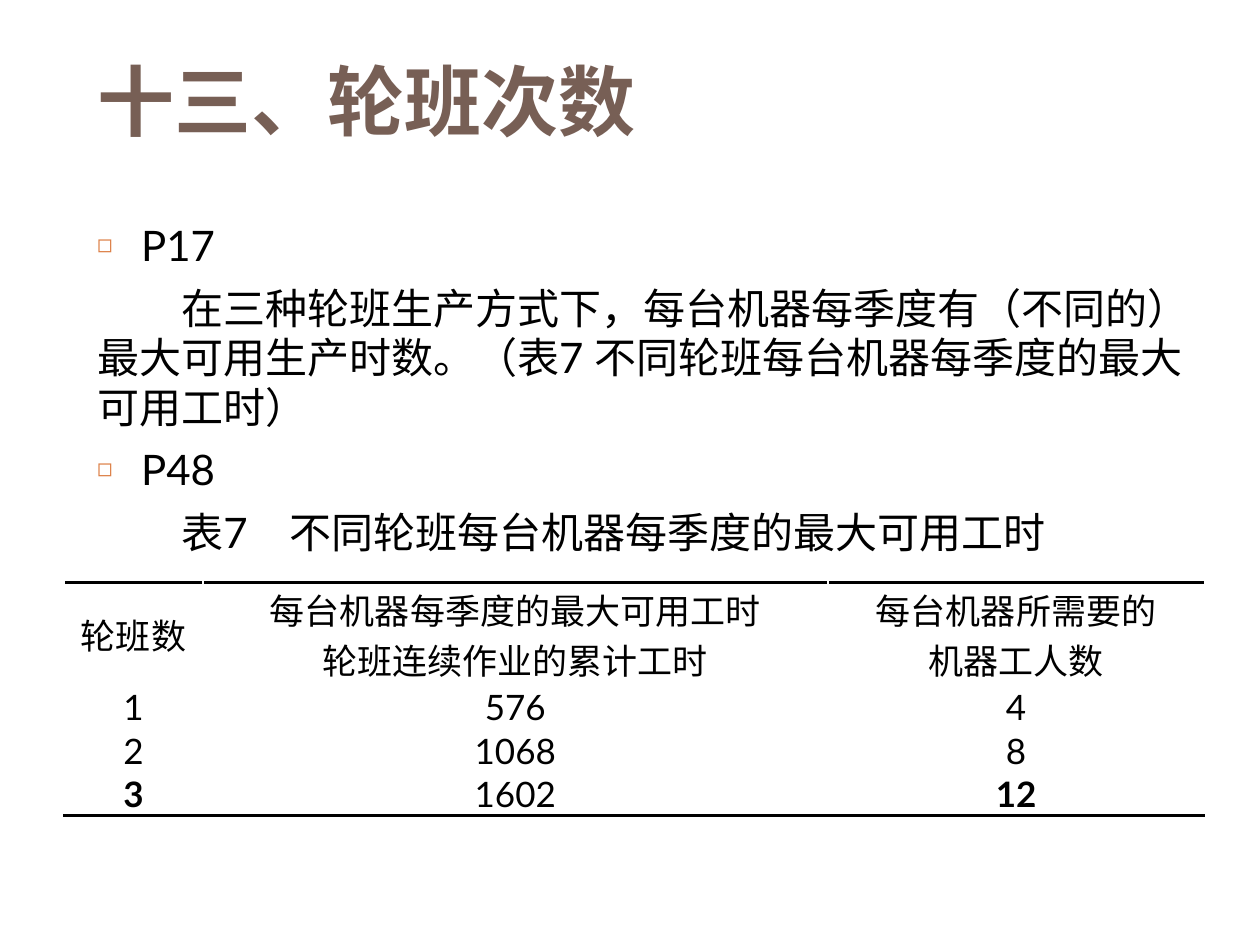
from lxml.etree import SubElement
from pptx import Presentation
from pptx.dml.color import RGBColor
from pptx.enum.text import MSO_ANCHOR, PP_ALIGN
from pptx.oxml import parse_xml
from pptx.oxml.ns import nsdecls, qn
from pptx.util import Inches, Pt

BLACK = RGBColor(0x00, 0x00, 0x00)
WHITE = RGBColor(0xFF, 0xFF, 0xFF)
BROWN = RGBColor(0x77, 0x5F, 0x55)
ORANGE = RGBColor(0xDD, 0x80, 0x47)
LATIN, CHINESE = "Lato", "Noto Sans CJK SC"

TITLE = "十三、轮班次数"
# Each entry: text, has a bullet
BODY = [
    ("P17", True),
    ("在三种轮班生产方式下，每台机器每季度有（不同的）最大可用生产时数。"
     "（表7 不同轮班每台机器每季度的最大可用工时）", False),
    ("P48", True),
    ("表7　不同轮班每台机器每季度的最大可用工时", False),
]
SHIFTS = [
    ("轮班数", "每台机器每季度的最大可用工时\n轮班连续作业的累计工时",
     "每台机器所需要的\n机器工人数"),
    ("1", "576", "4"),
    ("2", "1068", "8"),
    ("3", "1602", "12"),
]
BOLD_CELLS = {(3, 0), (3, 2)}
COLUMN_WIDTHS = (1.1, 4.96, 2.99)
ROW_HEIGHTS = (0.69, 0.34, 0.34, 0.34)


def style(paragraph, size, color, latin=LATIN, bold=False):
    paragraph.font.name = latin
    paragraph.font.size = Pt(size)
    paragraph.font.bold = bold
    paragraph.font.color.rgb = color
    for run in paragraph.runs:
        properties = run._r.get_or_add_rPr()
        SubElement(properties, qn("a:ea")).set("typeface", CHINESE)


def place(shape, box):
    shape.left, shape.top, shape.width, shape.height = map(Inches, box)


def set_bullet(paragraph, bulleted):
    properties = paragraph._p.get_or_add_pPr()
    margin, indent = (0.35, -0.35) if bulleted else (0, 0.67)
    properties.set("marL", str(Inches(margin)))
    properties.set("indent", str(Inches(indent)))
    if bulleted:
        color = SubElement(properties, qn("a:buClr"))
        SubElement(color, qn("a:srgbClr")).set("val", str(ORANGE))
        SubElement(properties, qn("a:buSzPct")).set("val", "60000")
        SubElement(properties, qn("a:buChar")).set("char", "◻")
    else:
        SubElement(properties, qn("a:buNone"))


def set_border(cell, side):
    cell._tc.get_or_add_tcPr().insert(0, parse_xml(
        f'<a:{side} {nsdecls("a")} w="{Pt(2)}"><a:solidFill>'
        f'<a:srgbClr val="{BLACK}"/></a:solidFill></a:{side}>'))


def fill_title(title, box):
    place(title, box)
    title.text_frame.text = TITLE
    title.text_frame.vertical_anchor = MSO_ANCHOR.MIDDLE
    paragraph = title.text_frame.paragraphs[0]
    paragraph.alignment = PP_ALIGN.LEFT
    style(paragraph, 44, BROWN, CHINESE, True)


def fill_body(body, box):
    place(body, box)
    frame = body.text_frame
    frame.text = "\n".join(text for text, _ in BODY)
    for paragraph, (_, bulleted) in zip(frame.paragraphs, BODY):
        paragraph.line_spacing = Pt(28.5)
        paragraph.space_before = Pt(7)
        set_bullet(paragraph, bulleted)
        style(paragraph, 24, BLACK)


def add_shift_table(slide, left, top):
    table = slide.shapes.add_table(
        len(SHIFTS), len(COLUMN_WIDTHS), Inches(left), Inches(top),
        Inches(sum(COLUMN_WIDTHS)), Inches(sum(ROW_HEIGHTS))).table
    table.first_row = table.horz_banding = False
    for column, width in zip(table.columns, COLUMN_WIDTHS):
        column.width = Inches(width)
    for row, height in zip(table.rows, ROW_HEIGHTS):
        row.height = Inches(height)

    for i, texts in enumerate(SHIFTS):
        for j, text in enumerate(texts):
            cell = table.cell(i, j)
            cell.text = text
            cell.vertical_anchor = MSO_ANCHOR.MIDDLE
            cell.margin_left = cell.margin_right = cell.margin_top = Inches(0.01)
            cell.margin_bottom = 0
            cell.fill.solid()
            cell.fill.fore_color.rgb = WHITE
            for paragraph in cell.text_frame.paragraphs:
                paragraph.alignment = PP_ALIGN.CENTER
                style(paragraph, 20, BLACK, bold=(i, j) in BOLD_CELLS)
            # Rules above the header and below the last row
            if i == 0:
                set_border(cell, "lnT")
            elif i == len(SHIFTS) - 1:
                set_border(cell, "lnB")


presentation = Presentation()
presentation.slide_width, presentation.slide_height = Inches(10), Inches(7.5)
slide = presentation.slides.add_slide(presentation.slide_layouts[1])
fill_title(slide.shapes.title, (0.67, 0.25, 8.92, 1.08))
fill_body(slide.placeholders[1], (0.67, 1.7, 8.92, 5.2))
add_shift_table(slide, 0.51, 4.62)
presentation.save("out.pptx")
